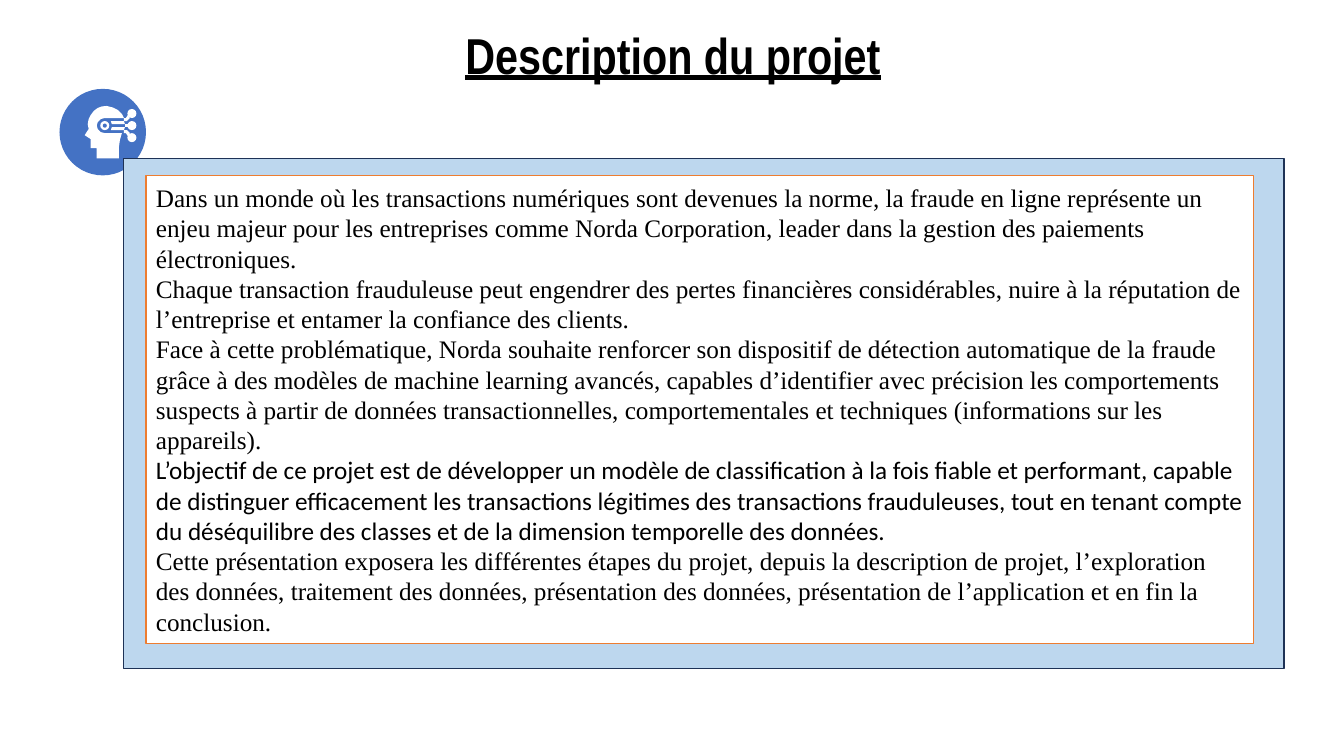
from pptx import Presentation
from pptx.dml.color import RGBColor
from pptx.enum.shapes import MSO_SHAPE
from pptx.enum.text import MSO_ANCHOR, MSO_AUTO_SIZE, PP_ALIGN
from pptx.util import Cm, Pt

BLACK = RGBColor(0x00, 0x00, 0x00)
WHITE = RGBColor(0xFF, 0xFF, 0xFF)
BLUE = RGBColor(0x44, 0x72, 0xC4)
PALE_BLUE = RGBColor(0xBD, 0xD7, 0xEE)
NAVY = RGBColor(0x1E, 0x32, 0x56)
ORANGE = RGBColor(0xED, 0x7D, 0x31)

SERIF = "Times New Roman"
DESCRIPTION = [
    ("Dans un monde où les transactions numériques sont devenues la norme, la fraude en ligne "
     "représente un enjeu majeur pour les entreprises comme Norda Corporation, leader dans la "
     "gestion des paiements électroniques.\n"
     "Chaque transaction frauduleuse peut engendrer des pertes financières considérables, nuire "
     "à la réputation de l’entreprise et entamer la confiance des clients.", SERIF),
    ("Face à cette problématique, Norda souhaite renforcer son dispositif de détection "
     "automatique de la fraude grâce à des modèles de machine learning avancés, capables "
     "d’identifier avec précision les comportements suspects à partir de données "
     "transactionnelles, comportementales et techniques (informations sur les appareils).", SERIF),
    ("L’objectif de ce projet est de développer un modèle de classification à la fois fiable et "
     "performant, capable de distinguer efficacement les transactions légitimes des transactions "
     "frauduleuses, tout en tenant compte du déséquilibre des classes et de la dimension "
     "temporelle des données.", "Calibri"),
    ("Cette présentation exposera les différentes étapes du projet, depuis la description de "
     "projet, l’exploration des données, traitement des données, présentation des données, "
     "présentation de l’application et en fin la conclusion.", SERIF),
]

BADGE_GRID = 86
HEAD = [
    (47, 17), (42, 17.5), (38, 19), (34, 22), (31, 26), (29, 30), (28, 35), (29, 40),
    (25, 46), (31, 50), (31, 59), (37, 59), (37, 69), (59, 69), (59, 58), (60, 51),
    (62, 44), (45, 44), (41, 43), (38, 40), (37, 36.5), (38, 33), (41, 30), (45, 29),
    (64, 29), (62, 25), (58, 21), (53, 18.5),
]
UPPER_ARM = [(68, 26), (66, 29), (64, 29), (64, 32), (67, 32), (70, 29)]
AXIS = 36.5
NODE_GAP = 12


def paint(shape, fill, line=None):
    shape.shadow.inherit = False
    shape.fill.solid()
    shape.fill.fore_color.rgb = fill
    if line is None:
        shape.line.fill.background()
    else:
        shape.line.color.rgb = line
        shape.line.width = Pt(1)
    return shape


def add_title(slide, left, top, width, height):
    frame = slide.shapes.add_textbox(left, top, width, height).text_frame
    frame.word_wrap = True
    frame.vertical_anchor = MSO_ANCHOR.MIDDLE
    frame.margin_left = frame.margin_right = Cm(0.33)
    frame.margin_top = frame.margin_bottom = Cm(0.33)
    heading = frame.paragraphs[0]
    heading.text = "Description du projet"
    heading.font.name = "Arial Narrow"
    heading.font.size = Pt(36)
    heading.font.bold = True
    heading.font.underline = True
    heading.font.color.rgb = BLACK


def add_badge(slide, left, top, size):
    paint(slide.shapes.add_shape(MSO_SHAPE.OVAL, left, top, size, size), BLUE)


def add_glyph(slide, left, top, size):
    unit = size / BADGE_GRID

    def polygon(points):
        spots = [(round(left + x * unit), round(top + y * unit)) for x, y in points]
        outline = slide.shapes.build_freeform(*spots[0])
        outline.add_line_segments(spots[1:], close=True)
        paint(outline.convert_to_shape(), WHITE)

    def disc(x, y, diameter, color):
        paint(slide.shapes.add_shape(
            MSO_SHAPE.OVAL, round(left + (x - diameter / 2) * unit),
            round(top + (y - diameter / 2) * unit),
            round(diameter * unit), round(diameter * unit)), color)

    polygon(HEAD)
    disc(45, AXIS, 9, WHITE)
    disc(45, AXIS, 4, BLUE)
    for side in (-1, 1):
        polygon([(x, AXIS + side * (AXIS - y)) for x, y in UPPER_ARM])
        inner, outer = AXIS + side * 1.5, AXIS + side * 4.5
        polygon([(52, inner), (65, inner), (64, outer), (51, outer)])
    polygon([(65, 35), (70, 35), (70, 38), (65, 38)])
    for step in (-1, 0, 1):
        disc(72, AXIS + step * NODE_GAP, 9, WHITE)


def add_description(slide, left, top, width, height):
    paint(slide.shapes.add_shape(MSO_SHAPE.RECTANGLE, left, top, width, height), PALE_BLUE, NAVY)
    card = paint(slide.shapes.add_shape(
        MSO_SHAPE.RECTANGLE, left + Cm(0.56), top + Cm(0.43),
        width - Cm(1.33), height - Cm(1.06)), WHITE, ORANGE)
    frame = card.text_frame
    frame.word_wrap = True
    frame.auto_size = MSO_AUTO_SIZE.SHAPE_TO_FIT_TEXT
    frame.vertical_anchor = MSO_ANCHOR.MIDDLE
    for index, (wording, typeface) in enumerate(DESCRIPTION):
        passage = frame.add_paragraph() if index else frame.paragraphs[0]
        passage.text = wording
        passage.alignment = PP_ALIGN.LEFT
        passage.font.name = typeface
        passage.font.size = Pt(18)
        passage.font.color.rgb = BLACK


def main():
    deck = Presentation()
    deck.slide_width, deck.slide_height = Cm(33.87), Cm(19.05)
    slide = deck.slides.add_slide(deck.slide_layouts[6])
    badge_box = Cm(1.5), Cm(2.24), Cm(2.18)
    add_title(slide, Cm(11.4), Cm(0.69), Cm(14), Cm(1.37))
    add_badge(slide, *badge_box)
    add_description(slide, Cm(3.12), Cm(3.99), Cm(29.24), Cm(12.85))
    add_glyph(slide, *badge_box)
    deck.save("out.pptx")


if __name__ == "__main__":
    main()
